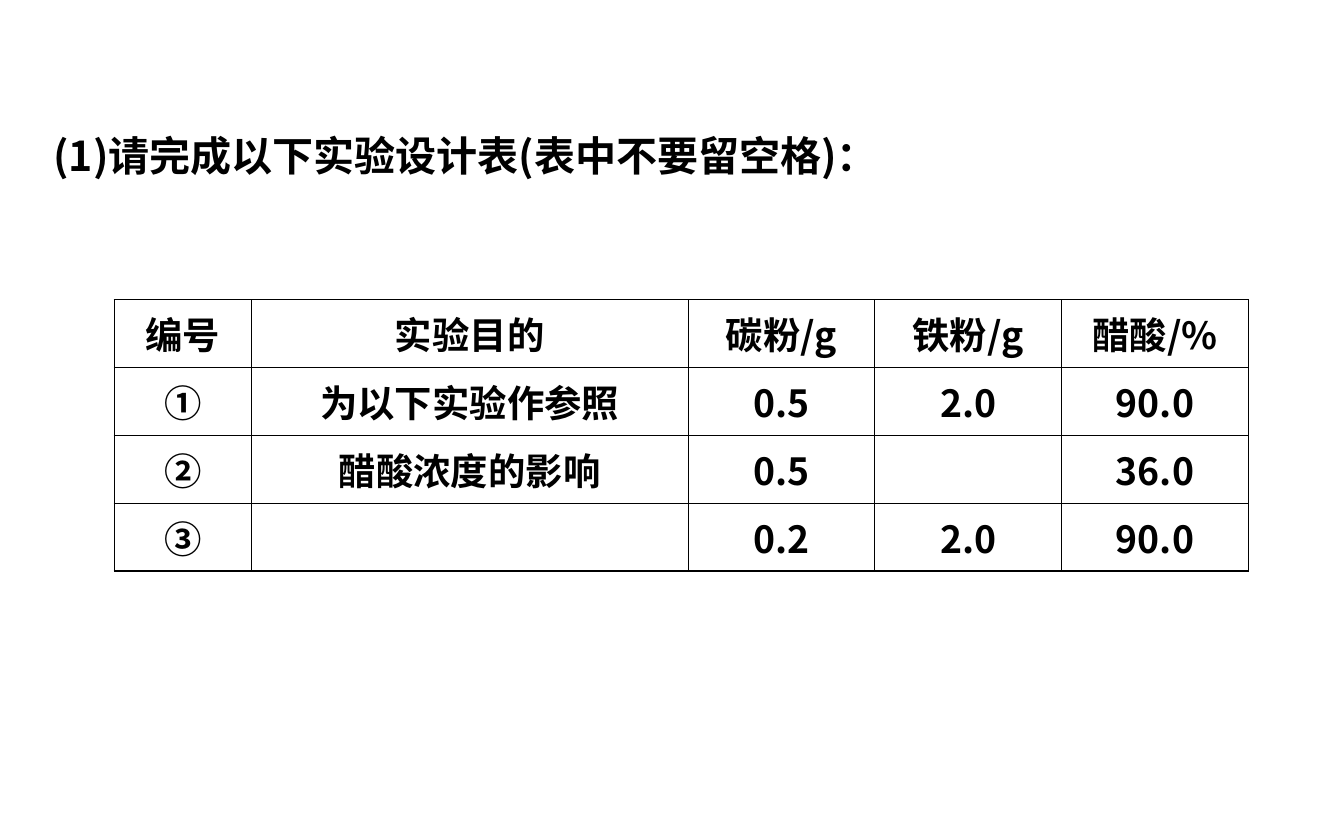
"""Build the experiment design table slide."""
from pptx import Presentation, util as u
from pptx.dml.color import RGBColor
from pptx.enum import text
from pptx.oxml import ns
from lxml import etree

TITLE = "(1)请完成以下实验设计表(表中不要留空格)："
ROWS = [
    ("编号", "实验目的", "碳粉/g", "铁粉/g", "醋酸/%"),
    ("①", "为以下实验作参照", "0.5", "2.0", "90.0"),
    ("②", "醋酸浓度的影响", "0.5", "", "36.0"),
    ("③", "", "0.2", "2.0", "90.0"),
]
COLUMN_WIDTHS = (1.02, 3.25, 1.39, 1.39, 1.39)
TABLE_LEFT, TABLE_TOP, TABLE_HEIGHT = 0.85, 2.23, 2.02
BLACK = RGBColor(0, 0, 0)
FONT = "Noto Sans CJK SC"
INNER_LINE, OUTER_LINE = 0.45, 0.75
TITLE_FORMAT = {"name": FONT, "size": u.Pt(22), "bold": True}
CELL_FORMAT = {"name": FONT, "size": u.Pt(20), "bold": True}


def add_span(para, words, formats):
    span = para.add_run()
    span.text = words
    for name, value in formats.items():
        setattr(span.font, name, value)
    span.font.color.rgb = BLACK
    properties = span.font._element
    etree.SubElement(properties, ns.qn("a:ea")).set("typeface", FONT)


def add_borders(cell, outer_sides):
    properties = cell._tc.get_or_add_tcPr()
    for side in "LRTB":
        width = u.Pt(OUTER_LINE if side in outer_sides else INNER_LINE)
        line = etree.SubElement(properties, ns.qn(f"a:ln{side}"), w=str(int(width)))
        fill = etree.SubElement(line, ns.qn("a:solidFill"))
        etree.SubElement(fill, ns.qn("a:srgbClr"), val=str(BLACK))


def add_title(page):
    box = page.shapes.add_textbox(*map(u.Inches, (0.3, 0.63, 9.43, 0.76)))
    box.text_frame.word_wrap = True
    para = box.text_frame.paragraphs[0]
    para.line_spacing = 1.8
    add_span(para, TITLE, TITLE_FORMAT)


def add_design_table(page):
    last_row, last_column = len(ROWS) - 1, len(COLUMN_WIDTHS) - 1
    table = page.shapes.add_table(
        len(ROWS), len(COLUMN_WIDTHS), u.Inches(TABLE_LEFT), u.Inches(TABLE_TOP),
        u.Inches(sum(COLUMN_WIDTHS)), u.Inches(TABLE_HEIGHT)).table
    table.first_row = table.horz_banding = False
    for column, width in zip(table.columns, COLUMN_WIDTHS):
        column.width = u.Inches(width)
    for r, row in enumerate(ROWS):
        for c, words in enumerate(row):
            cell = table.cell(r, c)
            edges = {"L": c == 0, "R": c == last_column, "T": r == 0, "B": r == last_row}
            add_borders(cell, [side for side, outer in edges.items() if outer])
            cell.fill.background()
            cell.vertical_anchor = text.MSO_ANCHOR.MIDDLE
            para = cell.text_frame.paragraphs[0]
            para.alignment = text.PP_ALIGN.CENTER
            if words:
                add_span(para, words, CELL_FORMAT)


def main():
    deck = Presentation()
    deck.slide_width, deck.slide_height = u.Inches(10), u.Inches(6.25)
    page = deck.slides.add_slide(deck.slide_layouts[6])
    add_title(page)
    add_design_table(page)
    deck.save("out.pptx")


if __name__ == "__main__":
    main()
